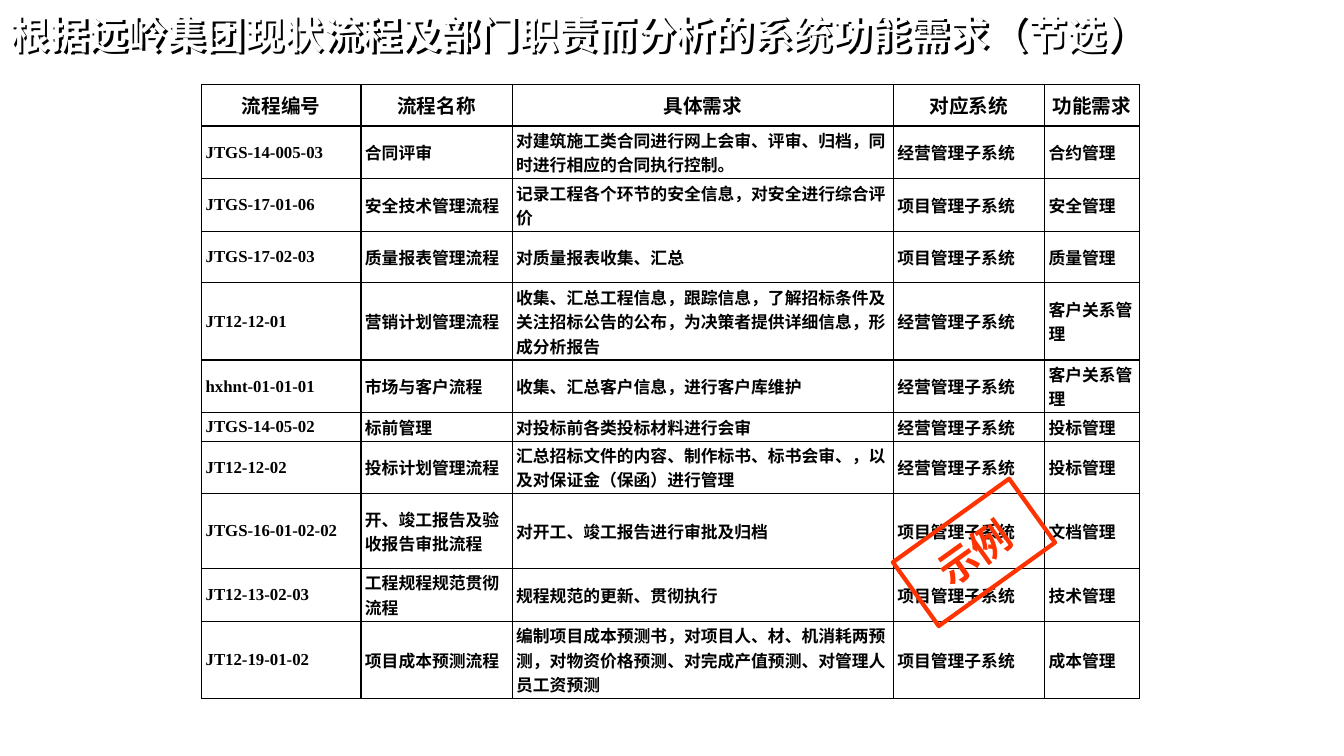
from dataclasses import dataclass

import pptx
import pptx.dml.color
import pptx.enum.shapes
import pptx.enum.text
import pptx.oxml
import pptx.oxml.ns
import pptx.util
from lxml import etree

Inches = pptx.util.Inches
Pt = pptx.util.Pt
qn = pptx.oxml.ns.qn
ALIGN = pptx.enum.text.PP_ALIGN
MIDDLE = pptx.enum.text.MSO_ANCHOR.MIDDLE


@dataclass(frozen=True)
class Theme:
    white: str = "FFFFFF"
    black: str = "000000"
    stamp: str = "FF3300"
    heading_size: int = 28
    header_size: int = 14
    body_size: int = 12
    cjk_font: str = "Noto Sans CJK SC"
    table_font: str = "Times New Roman"
    stamp_font: str = "Arial"
    border_width: int = 1
    stamp_width: int = 3


THEME = Theme()

TITLE = "根据远岭集团现状流程及部门职责而分析的系统功能需求（节选）"
HEADERS = ["流程编号", "流程名称", "具体需求", "对应系统", "功能需求"]
OPERATIONS = "经营管理子系统"
PROJECTS = "项目管理子系统"
REQUIREMENTS = [
    ("JTGS-14-005-03", "合同评审",
     "对建筑施工类合同进行网上会审、评审、归档，同时进行相应的合同执行控制。",
     OPERATIONS, "合约管理"),
    ("JTGS-17-01-06", "安全技术管理流程",
     "记录工程各个环节的安全信息，对安全进行综合评价", PROJECTS, "安全管理"),
    ("JTGS-17-02-03", "质量报表管理流程", "对质量报表收集、汇总", PROJECTS, "质量管理"),
    ("JT12-12-01", "营销计划管理流程",
     "收集、汇总工程信息，跟踪信息，了解招标条件及关注招标公告的公布，"
     "为决策者提供详细信息，形成分析报告", OPERATIONS, "客户关系管理"),
    ("hxhnt-01-01-01", "市场与客户流程",
     "收集、汇总客户信息，进行客户库维护", OPERATIONS, "客户关系管理"),
    ("JTGS-14-05-02", "标前管理", "对投标前各类投标材料进行会审", OPERATIONS, "投标管理"),
    ("JT12-12-02", "投标计划管理流程",
     "汇总招标文件的内容、制作标书、标书会审、，以及对保证金（保函）进行管理",
     OPERATIONS, "投标管理"),
    ("JTGS-16-01-02-02", "开、竣工报告及验收报告审批流程",
     "对开工、竣工报告进行审批及归档", PROJECTS, "文档管理"),
    ("JT12-13-02-03", "工程规程规范贯彻流程", "规程规范的更新、贯彻执行", PROJECTS, "技术管理"),
    ("JT12-19-01-02", "项目成本预测流程",
     "编制项目成本预测书，对项目人、材、机消耗两预测，对物资价格预测、"
     "对完成产值预测、对管理人员工资预测", PROJECTS, "成本管理"),
]
COLUMN_WIDTHS = [1.58, 1.5, 3.78, 1.5, 0.94]
ROW_HEIGHTS = [0.41, 0.51, 0.51, 0.51, 0.74, 0.51, 0.27, 0.51, 0.74, 0.51, 0.74]


def rgb(color):
    return pptx.dml.color.RGBColor.from_string(color)


def write(frame, text, size, font_name, color, align):
    """Fill a text frame with one bold paragraph."""
    frame.text = text
    paragraph = frame.paragraphs[0]
    paragraph.alignment = align
    font = paragraph.runs[0].font
    font.size, font.bold, font.name = Pt(size), True, font_name
    font.color.rgb = rgb(color)
    east_asian = pptx.oxml.parse_xml(
        f'<a:ea {pptx.oxml.ns.nsdecls("a")} typeface="{THEME.cjk_font}"/>')
    font._element.find(qn("a:latin")).addnext(east_asian)
    return paragraph


def add_heading(slide, left, top, width, height):
    heading = slide.shapes.title
    heading.left, heading.top = Inches(left), Inches(top)
    heading.width, heading.height = Inches(width), Inches(height)
    frame = heading.text_frame
    frame.word_wrap = True
    frame.auto_size = pptx.enum.text.MSO_AUTO_SIZE.NONE
    frame.vertical_anchor = MIDDLE
    paragraph = write(frame, TITLE, THEME.heading_size, THEME.cjk_font,
                      THEME.white, ALIGN.LEFT)
    paragraph.line_spacing = 0.8
    indent = Inches(0.29)
    properties = paragraph._p.get_or_add_pPr()
    properties.set("marL", str(indent))
    properties.set("indent", str(-indent))
    heading.fill.background()
    effects = etree.SubElement(heading._element.spPr, qn("a:effectLst"))
    shadow = etree.SubElement(effects, qn("a:outerShdw"), dist=str(Pt(2.83)),
                              dir="2700000", algn="ctr", rotWithShape="0")
    etree.SubElement(shadow, qn("a:srgbClr"), val=THEME.black)


def add_borders(cell):
    properties = cell._tc.get_or_add_tcPr()
    for side in ("lnL", "lnR", "lnT", "lnB"):
        line = etree.SubElement(properties, qn(f"a:{side}"),
                                w=str(Pt(THEME.border_width)))
        fill = etree.SubElement(line, qn("a:solidFill"))
        etree.SubElement(fill, qn("a:srgbClr"), val=THEME.black)


def add_requirements(slide, left, top, width, height):
    rows = [HEADERS, *REQUIREMENTS]
    table = slide.shapes.add_table(
        len(rows), len(HEADERS), Inches(left), Inches(top),
        Inches(width), Inches(height)).table
    table.first_row = table.horz_banding = False
    for column, column_width in zip(table.columns, COLUMN_WIDTHS):
        column.width = Inches(column_width)
    for row, row_height in zip(table.rows, ROW_HEIGHTS):
        row.height = Inches(row_height)
    for row_index, texts in enumerate(rows):
        is_header = row_index == 0
        side_margin, edge_margin = (0, 0) if is_header else (0.04, 0.02)
        for column_index, text in enumerate(texts):
            cell = table.cell(row_index, column_index)
            cell.margin_left = cell.margin_right = Inches(side_margin)
            cell.margin_top = cell.margin_bottom = Inches(edge_margin)
            cell.vertical_anchor = MIDDLE
            write(cell.text_frame, text,
                  THEME.header_size if is_header else THEME.body_size,
                  THEME.table_font, THEME.black,
                  ALIGN.CENTER if is_header else ALIGN.LEFT)
            add_borders(cell)
            cell.fill.background()


def add_example_stamp(slide, left, top, width, height):
    stamp = slide.shapes.add_shape(
        pptx.enum.shapes.MSO_SHAPE.RECTANGLE, Inches(left), Inches(top),
        Inches(width), Inches(height))
    stamp.rotation = 324.3
    stamp.shadow.inherit = False
    stamp.fill.background()
    stamp.line.color.rgb = rgb(THEME.stamp)
    stamp.line.width = Pt(THEME.stamp_width)
    stamp.text_frame.word_wrap = False
    stamp.text_frame.vertical_anchor = MIDDLE
    write(stamp.text_frame, "示例", THEME.heading_size, THEME.stamp_font,
          THEME.stamp, ALIGN.CENTER)


def main():
    deck = pptx.Presentation()
    deck.slide_width, deck.slide_height = Inches(13.33), Inches(7.5)
    slide = deck.slides.add_slide(deck.slide_layouts.get_by_name("Title Only"))
    add_heading(slide, 0, 0.06, 11.78, 0.63)
    add_requirements(slide, 2, 0.84, sum(COLUMN_WIDTHS), sum(ROW_HEIGHTS))
    add_example_stamp(slide, 8.95, 5.09, 1.42, 0.78)
    deck.save("out.pptx")


if __name__ == "__main__":
    main()
